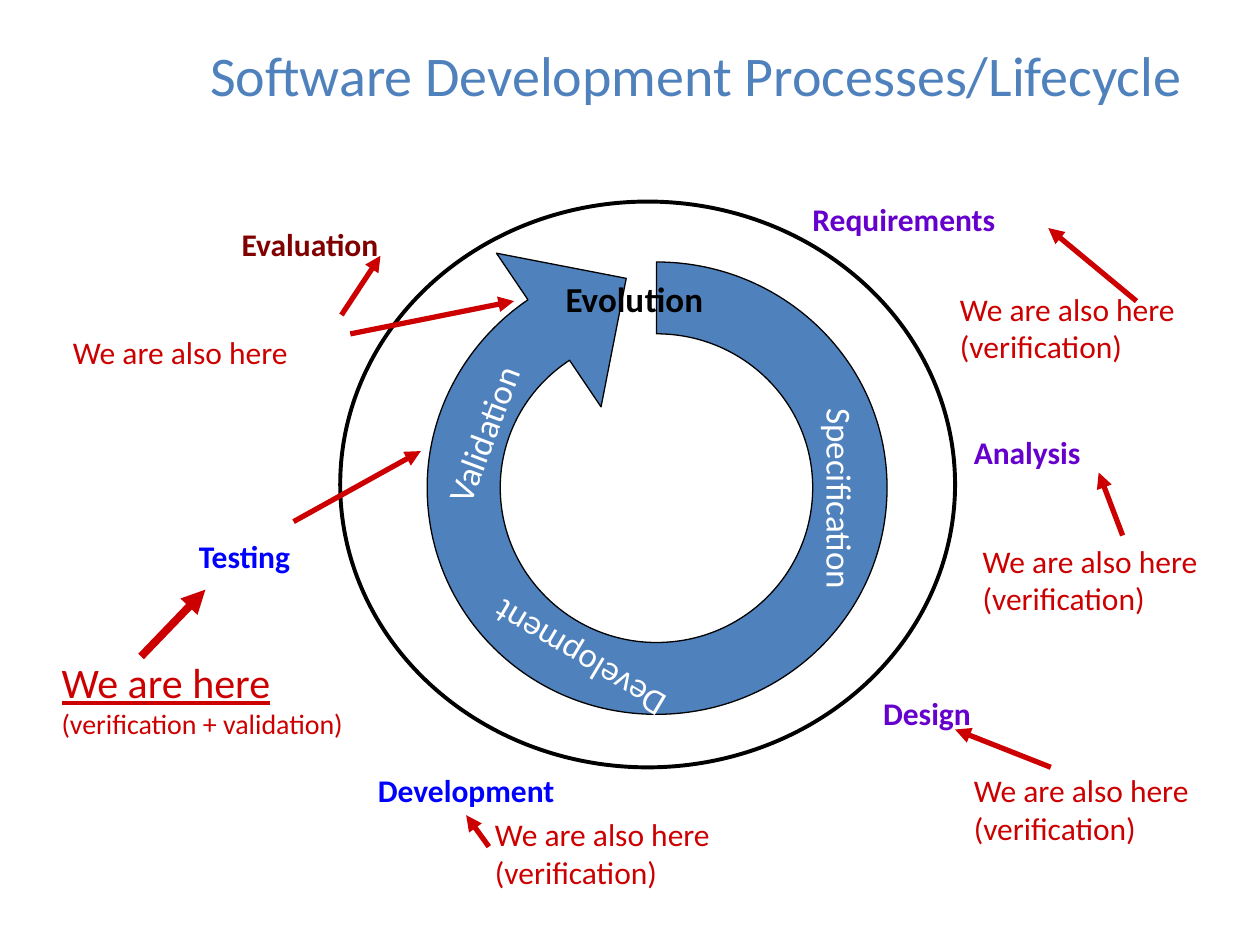
from dataclasses import dataclass

from lxml.etree import Element, SubElement
from pptx import Presentation
from pptx.dml.color import RGBColor
from pptx.enum.shapes import MSO_CONNECTOR, MSO_SHAPE
from pptx.enum.text import MSO_ANCHOR, MSO_AUTO_SIZE
from pptx.oxml.ns import qn
from pptx.util import Inches, Pt


@dataclass(frozen=True)
class Theme:
    font: str = "Calibri"
    blue: str = "4F81BD"
    red: str = "CC0000"
    purple: str = "6600CC"
    bright_blue: str = "0000FF"
    maroon: str = "800000"
    black: str = "000000"
    white: str = "FFFFFF"
    title_size: int = 32
    here_size: int = 24
    ring_size: int = 20
    label_size: int = 18
    detail_size: int = 16


THEME = Theme()

# text, left, top, width, colour
PHASES = [
    ("Requirements", 6.35, 1.54, 1.66, THEME.purple),
    ("Analysis", 7.63, 3.39, 1.05, THEME.purple),
    ("Design", 6.91, 5.46, 0.92, THEME.purple),
    ("Development", 2.9, 6.07, 1.61, THEME.bright_blue),
    ("Testing", 1.48, 4.21, 0.95, THEME.bright_blue),
    ("Evaluation", 1.82, 1.74, 1.3, THEME.maroon),
]

VERIFICATION_CORNERS = [(7.52, 2.25), (7.7, 4.25), (7.63, 6.07), (3.83, 6.42)]

# start, end
ARROWS = [
    ((2.71, 2.5), (3.02, 2.03)),
    ((2.78, 2.65), (4.08, 2.39)),
    ((8.34, 6.09), (7.58, 5.79)),
    ((8.91, 4.25), (8.72, 3.75)),
    ((9.02, 2.39), (8.32, 1.81)),
    ((2.33, 4.14), (3.34, 3.58)),
    ((3.88, 6.72), (3.7, 6.47)),
]

# Each curve is two control points and an end point
INNER_START = (4.52, 2.86)
INNER_CURVES = [
    [(4.17, 3.09), (3.97, 3.47), (3.97, 3.87)],
    [(3.97, 4.55), (4.53, 5.1), (5.21, 5.1)],
    [(5.9, 5.1), (6.45, 4.55), (6.45, 3.87)],
    [(6.45, 3.2), (5.9, 2.65), (5.21, 2.65)],
]
OUTER_START = (5.21, 2.08)
OUTER_CURVES = [
    [(6.22, 2.08), (7.04, 2.88), (7.04, 3.87)],
    [(7.04, 4.87), (6.22, 5.67), (5.21, 5.67)],
    [(4.2, 5.67), (3.39, 4.87), (3.39, 3.87)],
    [(3.39, 3.28), (3.69, 2.72), (4.19, 2.38)],
]
ARROW_HEAD = [(3.94, 2.01), (4.97, 2.21), (4.77, 3.23)]


def add_text(slide, lines, left, top, width, height, color, size,
             bold=False, wrap=True):
    box = slide.shapes.add_textbox(
        Inches(left), Inches(top), Inches(width), Inches(height))
    frame = box.text_frame
    frame.word_wrap = wrap
    frame.auto_size = MSO_AUTO_SIZE.SHAPE_TO_FIT_TEXT
    frame.text = "\n".join(lines)
    for paragraph in frame.paragraphs:
        font = paragraph.font
        font.name = THEME.font
        font.size = Pt(size)
        font.bold = bold
        font.color.rgb = RGBColor.from_string(color)
    return box


def add_title(slide, text):
    box = add_text(slide, [text], 1.57, 0, 8.43, 1.25, THEME.blue, THEME.title_size)
    frame = box.text_frame
    frame.auto_size = MSO_AUTO_SIZE.NONE
    frame.vertical_anchor = MSO_ANCHOR.MIDDLE
    frame.paragraphs[0].line_spacing = 0.9


def add_vertical_text(slide, text, left, top, height, rotation=0):
    box = add_text(slide, [text], left, top, 0.53, height, THEME.white, THEME.ring_size)
    frame = box.text_frame
    frame._txBody.bodyPr.set("vert", "eaVert")
    frame.margin_left = frame.margin_right = Inches(0.05)
    frame.margin_top = frame.margin_bottom = Inches(0.1)
    box.rotation = rotation


def add_callout(slide, lines, left, top):
    height = 0.7 if len(lines) > 1 else 0.4
    add_text(slide, lines, left, top, 1.92, height, THEME.red,
             THEME.label_size, wrap=False)


def add_here_note(slide):
    box = add_text(slide, ["We are here", "(verification + validation)"],
                   0.39, 5.16, 2.44, 0.77, THEME.red, THEME.here_size, wrap=False)
    heading, detail = box.text_frame.paragraphs
    heading.font.underline = True
    detail.font.size = Pt(THEME.detail_size)


def add_arrow(slide, start, end, weight=3):
    arrow = slide.shapes.add_connector(
        MSO_CONNECTOR.STRAIGHT, *map(Inches, start + end))
    arrow.line.color.rgb = RGBColor.from_string(THEME.red)
    arrow.line.width = Pt(weight)
    SubElement(arrow.line._get_or_add_ln(), qn("a:tailEnd"), type="triangle")
    SubElement(arrow._element.spPr, qn("a:effectLst"))


def style_shape(shape, fill, line_weight):
    shape.shadow.inherit = False
    shape.fill.solid()
    shape.fill.fore_color.rgb = RGBColor.from_string(fill)
    shape.line.color.rgb = RGBColor.from_string(THEME.black)
    shape.line.width = Pt(line_weight)


def add_outer_ring(slide):
    ring = slide.shapes.add_shape(
        MSO_SHAPE.OVAL, Inches(2.7), Inches(1.6), Inches(4.88), Inches(4.49))
    style_shape(ring, THEME.white, 2.25)


def bend_segments(shape, first, curve_count):
    """Turn each three straight segments, from index first, into one curve."""
    segments = shape._element.findall(".//" + qn("a:lnTo"))
    for index in range(first, first + 3 * curve_count, 3):
        group = segments[index:index + 3]
        curve = Element(qn("a:cubicBezTo"))
        group[0].addprevious(curve)
        for segment in group:
            curve.append(segment[0])
            segment.getparent().remove(segment)


def add_cycle_arrow(slide):
    inner = sum(INNER_CURVES, [])
    outer = sum(OUTER_CURVES, [])
    points = [(Inches(x), Inches(y))
              for x, y in [INNER_START, *inner, OUTER_START, *outer, *ARROW_HEAD]]
    builder = slide.shapes.build_freeform(*points[0])
    builder.add_line_segments(points[1:], close=True)
    shape = builder.convert_to_shape()
    bend_segments(shape, len(inner) + 1, len(OUTER_CURVES))
    bend_segments(shape, 0, len(INNER_CURVES))
    style_shape(shape, THEME.blue, 0.75)


def add_ring_labels(slide):
    add_vertical_text(slide, "Specification", 6.36, 3.14, 2.04)
    add_vertical_text(slide, "Development", 3.93, 3.59, 2.71, 120.8)
    validation = add_text(slide, ["Validation"], 2.82, 2.72, 2.41, 0.44,
                          THEME.white, THEME.ring_size)
    validation.rotation = 290.6
    for text, left in [("Evolu", 4.39), ("tion", 5.02)]:
        add_text(slide, [text], left, 2.15, 2.18, 0.44,
                 THEME.black, THEME.ring_size, bold=True)


def main():
    presentation = Presentation()
    presentation.slide_width = Inches(10)
    presentation.slide_height = Inches(7.5)
    slide = presentation.slides.add_slide(presentation.slide_layouts[6])

    add_title(slide, "Software Development Processes/Lifecycle")
    add_outer_ring(slide)
    add_cycle_arrow(slide)
    for text, left, top, width, color in PHASES:
        add_text(slide, [text], left, top, width, 0.4, color,
                 THEME.label_size, bold=True, wrap=False)
    add_ring_labels(slide)

    add_here_note(slide)
    add_arrow(slide, (1.12, 5.21), (1.63, 4.68), weight=4.5)
    add_callout(slide, ["We are also here"], 0.48, 2.59)
    for left, top in VERIFICATION_CORNERS:
        add_callout(slide, ["We are also here", "(verification)"], left, top)
    for start, end in ARROWS:
        add_arrow(slide, start, end)

    presentation.save("out.pptx")


if __name__ == "__main__":
    main()
